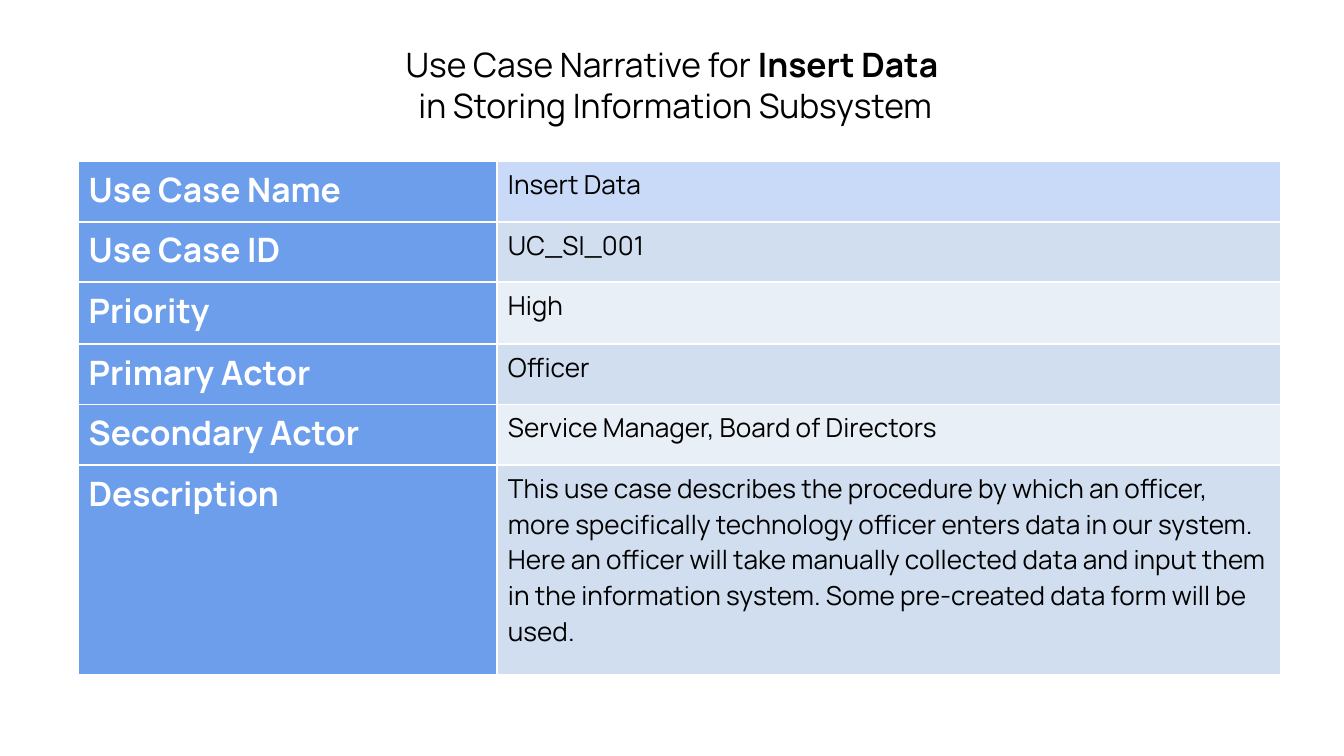
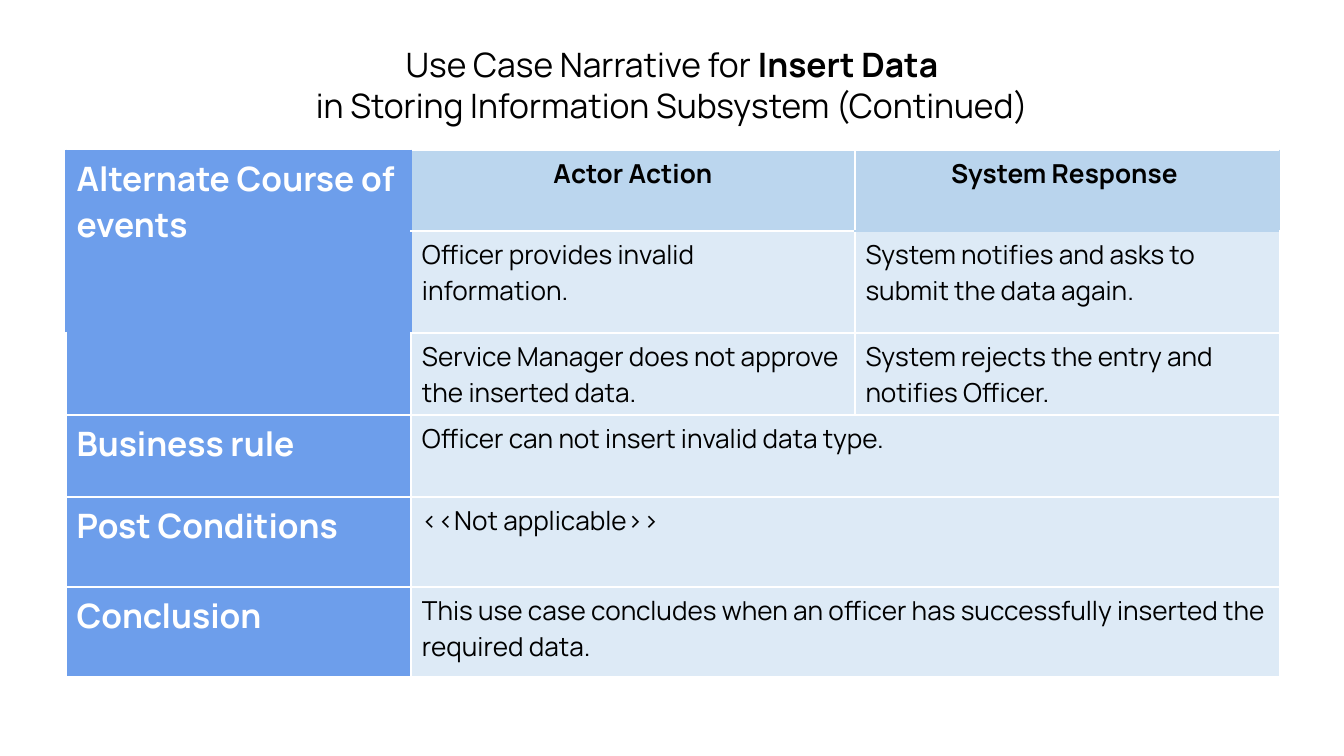
"""Builds two use case narrative slides, each a title above a table."""
from dataclasses import dataclass, field

from lxml import etree
from pptx import Presentation
from pptx import util as u
from pptx.dml.color import RGBColor
from pptx.enum import text
from pptx.oxml.ns import qn


@dataclass(frozen=True)
class Theme:
    font: str = "Manrope"
    heading_size: int = 18
    body_size: int = 14
    ink: str = "000000"
    white: str = "FFFFFF"
    label: str = "6D9EEB"
    name_fill: str = "C9DAF8"
    dark_band: str = "D0DEEF"
    light_band: str = "E9EFF7"
    action_head: str = "BBD6EE"
    response_head: str = "B9D4ED"
    entry: str = "DDEAF6"


THEME = Theme()


@dataclass(frozen=True)
class Entry:
    words: str
    fill: str = THEME.entry
    size: int = THEME.body_size
    color: str = THEME.ink
    bold: bool = False
    centred: bool = False
    rows: int = 1
    columns: int = 1
    edges: dict[str, str] = field(default_factory=dict)


@dataclass(frozen=True)
class Grid:
    left: float
    top: float
    widths: list[float]
    heights: list[float]
    entries: dict[tuple[int, int], Entry]


def label(words: str, rows: int = 1, edges: dict[str, str] | None = None) -> Entry:
    return Entry(words, THEME.label, THEME.heading_size, THEME.white, True,
                 rows=rows, edges=edges or {})


def heading(words: str, fill: str, edges: dict[str, str]) -> Entry:
    return Entry(words, fill, bold=True, centred=True, edges=edges)


def set_font(font, size: int, color: str) -> None:
    font.name = THEME.font
    font.size = u.Pt(size)
    font.color.rgb = RGBColor.from_string(color)


def add_title(page, second_line: str) -> None:
    box = page.shapes.add_textbox(u.Inches(0.82), u.Inches(0.29), u.Inches(8.36), u.Inches(0.63))
    frame = box.text_frame
    frame.word_wrap = True
    frame.margin_left = frame.margin_right = u.Inches(0.07)
    frame.margin_top = frame.margin_bottom = u.Inches(0.04)
    lines = [[("Use Case Narrative for ", False), ("Insert Data", True)], [(second_line, False)]]
    for index, line in enumerate(lines):
        para = frame.add_paragraph() if index else frame.paragraphs[0]
        para.alignment = text.PP_ALIGN.CENTER
        set_font(para.font, THEME.heading_size, THEME.ink)
        for words, bold in line:
            span = para.add_run()
            span.text = words
            span.font.bold = bold


def set_borders(cell, edges: dict[str, str]) -> None:
    properties = cell._tc.get_or_add_tcPr()
    for index, side in enumerate("LRTB"):
        line = etree.Element(qn(f"a:ln{side}"), w=str(u.Pt(1)))
        fill = etree.SubElement(line, qn("a:solidFill"))
        etree.SubElement(fill, qn("a:srgbClr"), val=edges.get(side, THEME.white))
        properties.insert(index, line)


def style_cell(cell, entry: Entry) -> None:
    cell.margin_left = cell.margin_right = u.Inches(0.08)
    cell.margin_top = cell.margin_bottom = u.Inches(0.04)
    cell.fill.solid()
    cell.fill.fore_color.rgb = RGBColor.from_string(entry.fill)
    set_borders(cell, entry.edges)


def add_grid(page, grid: Grid) -> None:
    frame = page.shapes.add_table(
        len(grid.heights), len(grid.widths), u.Inches(grid.left), u.Inches(grid.top),
        u.Inches(sum(grid.widths)), u.Inches(sum(grid.heights)))
    table = frame.table
    table.first_row = table.horz_banding = False
    for column, width in zip(table.columns, grid.widths):
        column.width = u.Inches(width)
    for row, height in zip(table.rows, grid.heights):
        row.height = u.Inches(height)
    for (top, left), entry in grid.entries.items():
        cell = table.cell(top, left)
        bottom, right = top + entry.rows - 1, left + entry.columns - 1
        if (bottom, right) != (top, left):
            cell.merge(table.cell(bottom, right))
        for row in range(top, bottom + 1):
            for column in range(left, right + 1):
                style_cell(table.cell(row, column), entry)
        para = cell.text_frame.paragraphs[0]
        if entry.centred:
            para.alignment = text.PP_ALIGN.CENTER
        set_font(para.font, entry.size, entry.color)
        para.font.bold = entry.bold
        if entry.words:
            para.add_run().text = entry.words


def summary_grid() -> Grid:
    facts = [
        ("Use Case Name", "Insert Data"),
        ("Use Case ID", "UC_SI_001"),
        ("Priority", "High"),
        ("Primary Actor", "Officer"),
        ("Secondary Actor", "Service Manager, Board of Directors"),
        ("Description",
         "This use case describes the procedure by which an officer, more specifically "
         "technology officer enters data in our system. Here an officer will take manually "
         "collected data and input them in the information system. Some pre-created data "
         "form will be used."),
    ]
    entries = {}
    for row, (name, words) in enumerate(facts):
        band = THEME.dark_band if row % 2 else THEME.light_band
        entries[row, 0] = label(name)
        entries[row, 1] = Entry(words, band if row else THEME.name_fill)
    return Grid(0.58, 1.2, [3.12, 5.83], [0.45, 0.45, 0.46, 0.45, 0.45, 1.56], entries)


def course_grid() -> Grid:
    blue, sky = THEME.label, THEME.response_head
    entries = {
        (0, 0): label("Alternate Course of events", rows=2, edges=dict.fromkeys("LRTB", blue)),
        (0, 1): heading("Actor Action", THEME.action_head, {"L": blue}),
        (0, 2): heading("System Response ", sky, {"R": sky, "B": sky}),
        (1, 1): Entry("Officer provides invalid information.", edges={"L": blue}),
        (1, 2): Entry("System notifies and asks to submit the data again.", edges={"T": sky}),
        (2, 0): label("", edges={"T": blue}),
        (2, 1): Entry("Service Manager does not approve the inserted data."),
        (2, 2): Entry("System rejects the entry and notifies Officer."),
    }
    outcomes = [
        ("Business rule", "Officer can not insert invalid data type."),
        ("Post Conditions", "<<Not applicable>>"),
        ("Conclusion",
         "This use case concludes when an officer has successfully inserted the required data."),
    ]
    for row, (name, words) in enumerate(outcomes, start=3):
        entries[row, 0] = label(name)
        entries[row, 1] = Entry(words, columns=2)
    return Grid(0.49, 1.12, [2.57, 3.3, 3.16], [0.6, 0.76, 0.61, 0.61, 0.67, 0.67], entries)


def main() -> None:
    deck = Presentation()
    deck.slide_width, deck.slide_height = u.Inches(10), u.Inches(10 * 9 / 16)
    for second_line, grid in [
        (" in Storing Information Subsystem", summary_grid()),
        ("in Storing Information Subsystem (Continued)", course_grid()),
    ]:
        page = deck.slides.add_slide(deck.slide_layouts[6])
        add_title(page, second_line)
        add_grid(page, grid)
    deck.save("out.pptx")


if __name__ == "__main__":
    main()
